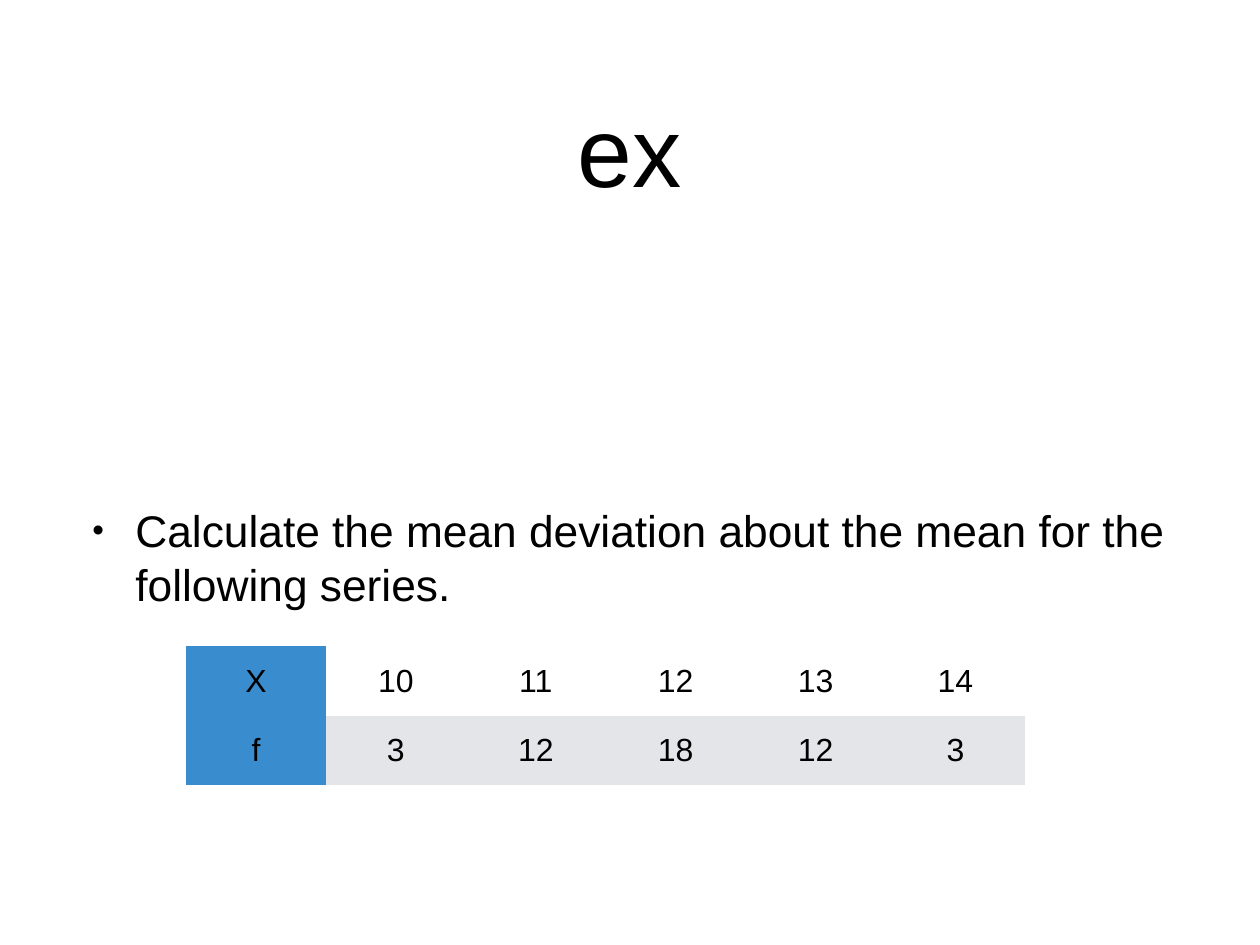
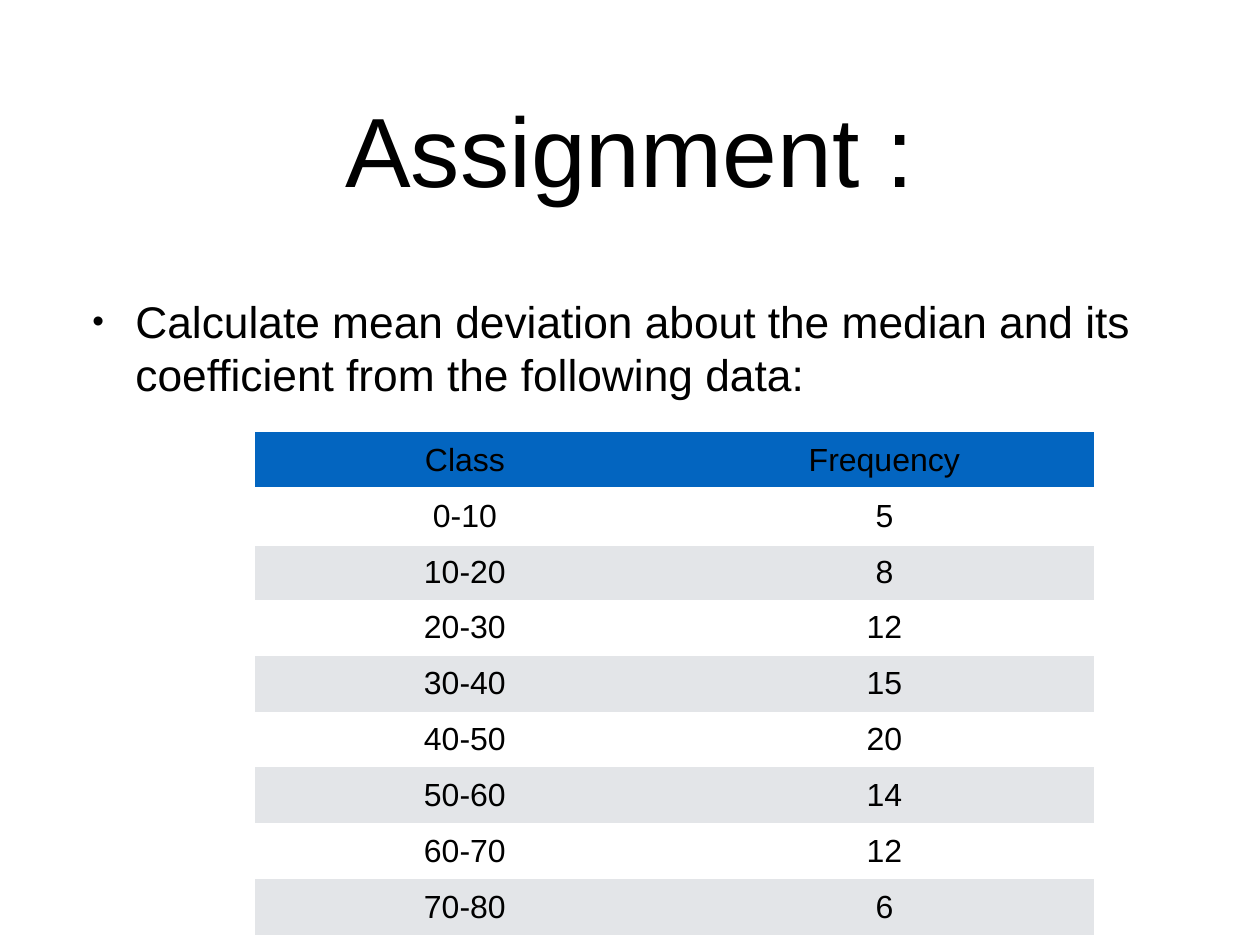
from dataclasses import dataclass

from lxml import etree
from pptx import Presentation
from pptx.dml.color import RGBColor
from pptx.enum.text import MSO_ANCHOR, MSO_AUTO_SIZE, PP_ALIGN
from pptx.oxml.ns import qn
from pptx.util import Pt

MIDDLE = MSO_ANCHOR.MIDDLE
CENTER, LEFT = PP_ALIGN.CENTER, PP_ALIGN.LEFT
NO_AUTOFIT = MSO_AUTO_SIZE.NONE
TITLE_ONLY = 5
PLAIN_TABLE_STYLE = "{2D5ABB26-0587-4C30-8999-92F81FD0307C}"


@dataclass(frozen=True)
class Theme:
    font: str = "Arial"
    text: str = "000000"
    background: str = "FFFFFF"
    band: str = "E3E5E8"
    header_row: str = "0365C0"
    header_column: str = "398CCE"
    title_size: int = 80
    body_size: int = 36
    table_size: int = 26


THEME = Theme()
SLIDE_WIDTH, SLIDE_HEIGHT = 1024, 768
MARGIN = 75
CONTENT_WIDTH = SLIDE_WIDTH - 2 * MARGIN
TITLE_TOP, TITLE_HEIGHT = 35, 170
BODY_HEIGHT = 495
BULLET_INDENT = 35
BULLET_SPACE_BEFORE = 42
CELL_MARGIN = 3.6
HEADER_RULE_WIDTH = 3

SLIDES = [
    {
        "title": "ex",
        "task": "Calculate the mean deviation about the mean for the following series.",
        "task_top": 205,
        "rows": [("X", "10", "11", "12", "13", "14"),
                 ("f", "3", "12", "18", "12", "3")],
        "header": "column",
        "table_origin": (151.2, 525.4),
        "cell_size": (113.7, 56.2),
    },
    {
        "title": "Assignment :",
        "task": "Calculate mean deviation about the median and its coefficient "
                "from the following data:",
        "task_top": 34.6,
        "rows": [("Class", "Frequency"), ("0-10", "5"), ("10-20", "8"),
                 ("20-30", "12"), ("30-40", "15"), ("40-50", "20"),
                 ("50-60", "14"), ("60-70", "12"), ("70-80", "6")],
        "header": "row",
        "table_origin": (207.4, 351.4),
        "cell_size": (340.9, 45.4),
    },
]


def write_text(frame, text, size, alignment):
    paragraph = frame.paragraphs[0]
    paragraph.alignment = alignment
    run = paragraph.add_run()
    run.text = text
    run.font.name = THEME.font
    run.font.size = Pt(size)
    run.font.color.rgb = RGBColor.from_string(THEME.text)
    return paragraph


def format_frame(frame):
    """Remove insets and autofit, and centre the text vertically."""
    frame.word_wrap = True
    frame.auto_size = NO_AUTOFIT
    frame.vertical_anchor = MIDDLE
    frame.margin_left = frame.margin_right = 0
    frame.margin_top = frame.margin_bottom = 0


def add_title(slide, text):
    title = slide.shapes.title
    title.left, title.top = Pt(MARGIN), Pt(TITLE_TOP)
    title.width, title.height = Pt(CONTENT_WIDTH), Pt(TITLE_HEIGHT)
    format_frame(title.text_frame)
    write_text(title.text_frame, text, THEME.title_size, CENTER)


def add_task(slide, text, top):
    box = slide.shapes.add_textbox(
        Pt(MARGIN), Pt(top), Pt(CONTENT_WIDTH), Pt(BODY_HEIGHT))
    format_frame(box.text_frame)
    paragraph = write_text(box.text_frame, text, THEME.body_size, LEFT)
    paragraph.space_before = Pt(BULLET_SPACE_BEFORE)
    properties = paragraph._p.get_or_add_pPr()
    properties.set("marL", str(Pt(BULLET_INDENT)))
    properties.set("indent", str(-Pt(BULLET_INDENT)))
    etree.SubElement(properties, qn("a:buSzPct")).set("val", "75000")
    etree.SubElement(properties, qn("a:buFont")).set("typeface", THEME.font)
    etree.SubElement(properties, qn("a:buChar")).set("char", "•")


def add_rule(cell, tag):
    """Draw the white header rule on one side of a cell."""
    line = etree.Element(qn(tag), w=str(Pt(HEADER_RULE_WIDTH)))
    fill = etree.SubElement(line, qn("a:solidFill"))
    etree.SubElement(fill, qn("a:srgbClr")).set("val", THEME.background)
    cell._tc.get_or_add_tcPr().insert(0, line)


def cell_fill(header, row, column):
    if header == "row" and row == 0:
        return THEME.header_row
    if header == "column" and column == 0:
        return THEME.header_column
    banded = row % 2 == (1 if header == "column" else 0)
    return THEME.band if banded else THEME.background


def add_data_table(slide, rows, header, origin, cell_size):
    left, top = origin
    width, height = cell_size
    row_count, column_count = len(rows), len(rows[0])
    table = slide.shapes.add_table(
        row_count, column_count, Pt(left), Pt(top),
        Pt(width * column_count), Pt(height * row_count)).table
    table._tbl.tblPr.find(qn("a:tableStyleId")).text = PLAIN_TABLE_STYLE
    table.first_row = header == "row"
    table.first_col = header == "column"
    for column in table.columns:
        column.width = Pt(width)
    for row_index, values in enumerate(rows):
        table.rows[row_index].height = Pt(height)
        for column_index, value in enumerate(values):
            cell = table.cell(row_index, column_index)
            cell.vertical_anchor = MIDDLE
            cell.margin_left = cell.margin_right = Pt(CELL_MARGIN)
            cell.margin_top = cell.margin_bottom = Pt(CELL_MARGIN)
            cell.fill.solid()
            cell.fill.fore_color.rgb = RGBColor.from_string(
                cell_fill(header, row_index, column_index))
            write_text(cell.text_frame, value, THEME.table_size, CENTER)
            if header == "row" and row_index < 2:
                add_rule(cell, ("a:lnB", "a:lnT")[row_index])


def main():
    presentation = Presentation()
    presentation.slide_width = Pt(SLIDE_WIDTH)
    presentation.slide_height = Pt(SLIDE_HEIGHT)
    background = presentation.slide_master.background.fill
    background.solid()
    background.fore_color.rgb = RGBColor.from_string(THEME.background)
    for content in SLIDES:
        slide = presentation.slides.add_slide(
            presentation.slide_layouts[TITLE_ONLY])
        add_title(slide, content["title"])
        add_task(slide, content["task"], content["task_top"])
        add_data_table(slide, content["rows"], content["header"],
                       content["table_origin"], content["cell_size"])
    presentation.save("out.pptx")


if __name__ == "__main__":
    main()
